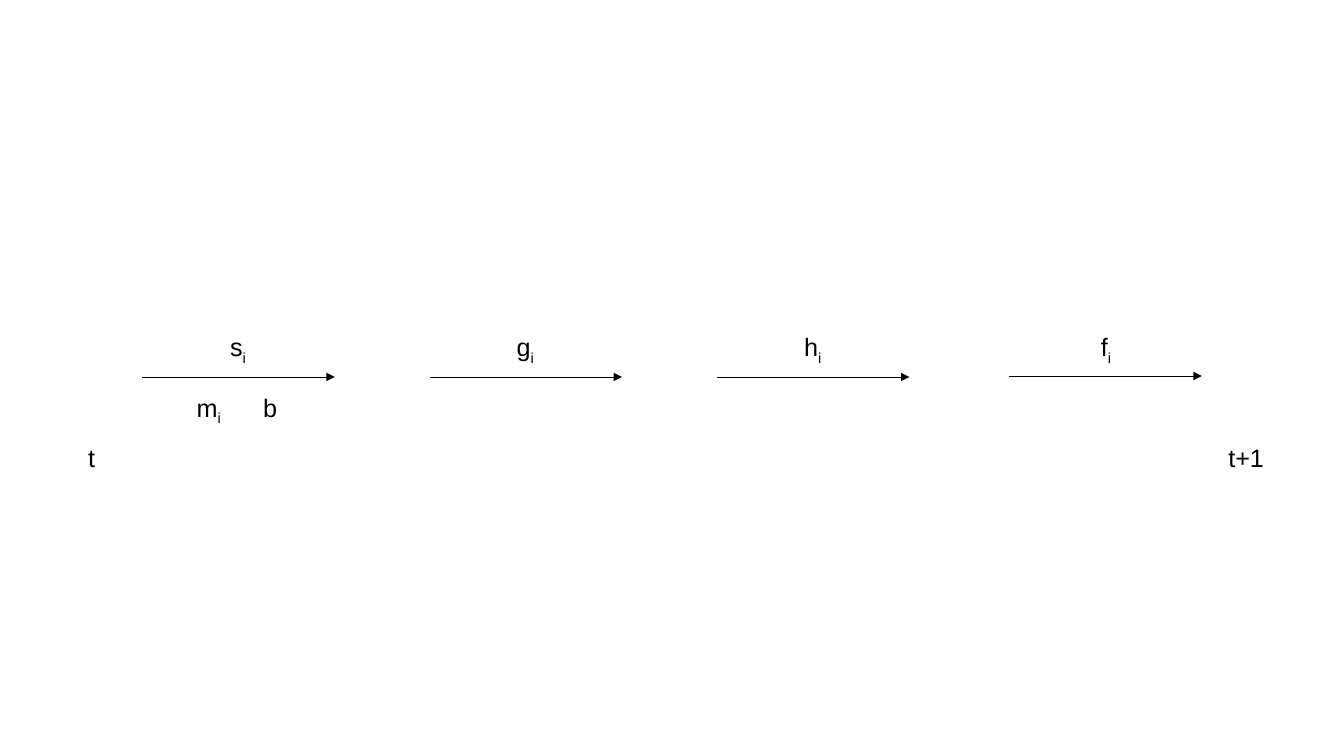
from lxml import etree
from pptx import Presentation
from pptx.dml.color import RGBColor
from pptx.enum.shapes import MSO_CONNECTOR
from pptx.enum.text import MSO_AUTO_SIZE, PP_ALIGN
from pptx.oxml.ns import qn
from pptx.util import Pt

STRAIGHT = MSO_CONNECTOR.STRAIGHT
CENTER = PP_ALIGN.CENTER
GROW = MSO_AUTO_SIZE.SHAPE_TO_FIT_TEXT

PX = 9144  # 100 px to the inch
COLORS = {"ink": "000000"}
INK = RGBColor.from_string(COLORS["ink"])
LABEL_HEIGHT = 40
ARROW_LENGTH = 191
TIME_WIDTH, SYMBOL_WIDTH = 100, 58
TIME_TOP, ABOVE_TOP, BELOW_TOP = 434, 324, 384

deck = Presentation()
deck.slide_width = 1333 * PX
deck.slide_height = 750 * PX
page = deck.slides.add_slide(deck.slide_layouts[6])

# Arrows between the stages: left end, height
arrows = [(141, 374), (426, 374), (711, 374), (1001, 373)]
for left, y in arrows:
    arrow = page.shapes.add_connector(
        STRAIGHT, left * PX, y * PX, (left + ARROW_LENGTH) * PX, y * PX
    )
    arrow.line.color.rgb = INK
    arrow.line.width = Pt(0.5)
    etree.SubElement(arrow.line._get_or_add_ln(), qn("a:tailEnd"), type="triangle")
    etree.SubElement(arrow._element.spPr, qn("a:effectLst"))

# Labels: text, subscript, left, top, width
labels = [
    ("t", "", 41, TIME_TOP, TIME_WIDTH),
    ("t+1", "", 1186, TIME_TOP, TIME_WIDTH),
    ("s", "i", 207, ABOVE_TOP, SYMBOL_WIDTH),
    ("g", "i", 492, ABOVE_TOP, SYMBOL_WIDTH),
    ("h", "i", 777, ABOVE_TOP, SYMBOL_WIDTH),
    ("f", "i", 1068, ABOVE_TOP, SYMBOL_WIDTH),
    ("m", "i", 178, BELOW_TOP, SYMBOL_WIDTH),
    ("b", "", 239, BELOW_TOP, SYMBOL_WIDTH),
]
for text, subscript, left, top, width in labels:
    box = page.shapes.add_textbox(left * PX, top * PX, width * PX, LABEL_HEIGHT * PX)
    box.text_frame.word_wrap = True
    box.text_frame.auto_size = GROW
    para = box.text_frame.paragraphs[0]
    para.alignment = CENTER
    for part, baseline in ((text, 0), (subscript, -25000)):
        if not part:
            continue
        span = para.add_run()
        span.text = part
        span.font.name = "Arial"
        span.font.size = Pt(18)
        span.font.color.rgb = INK
        if baseline:
            span._r.get_or_add_rPr().set("baseline", str(baseline))

deck.save("out.pptx")
